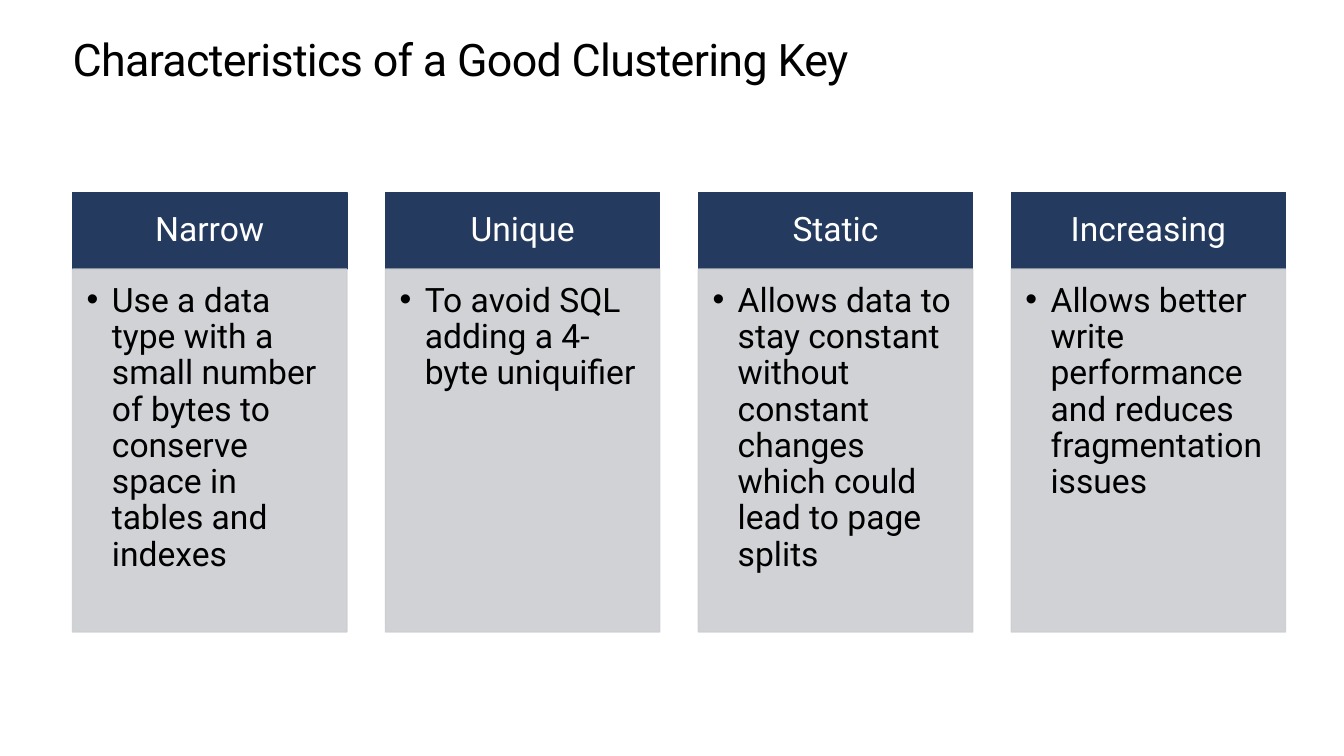
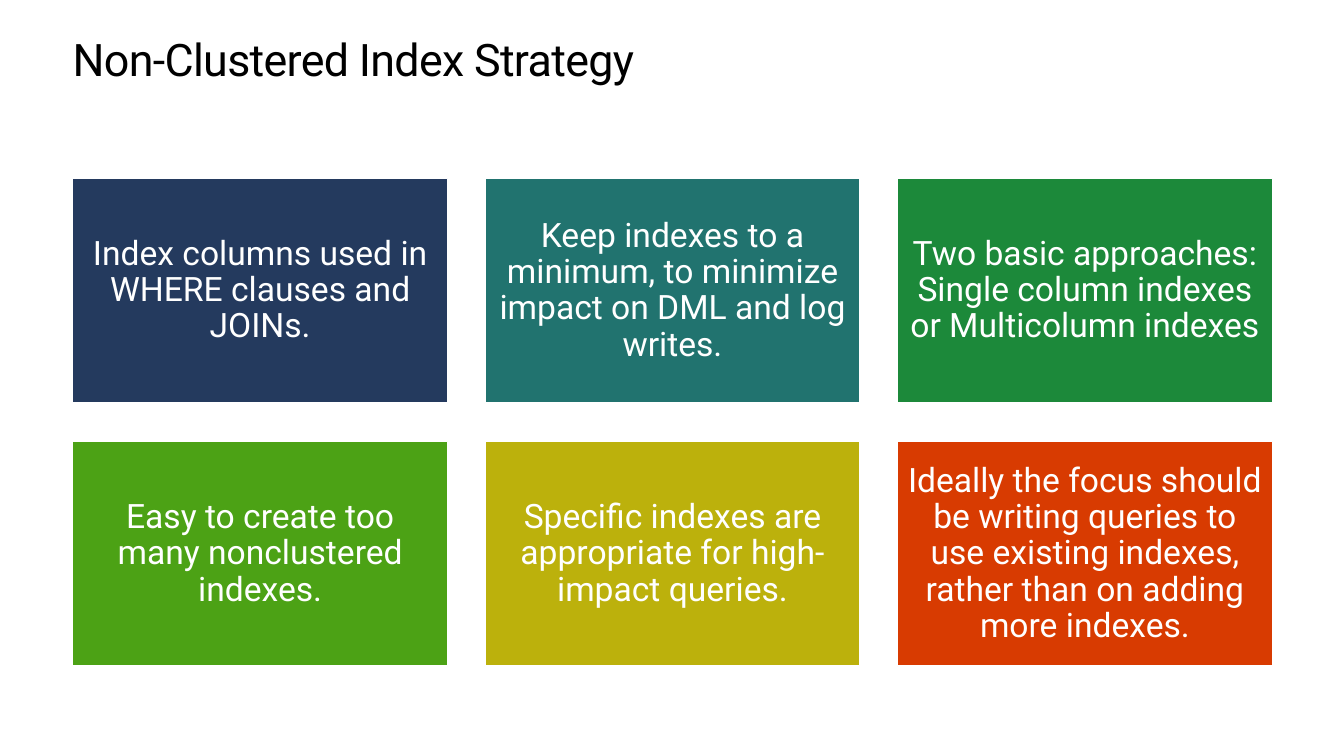
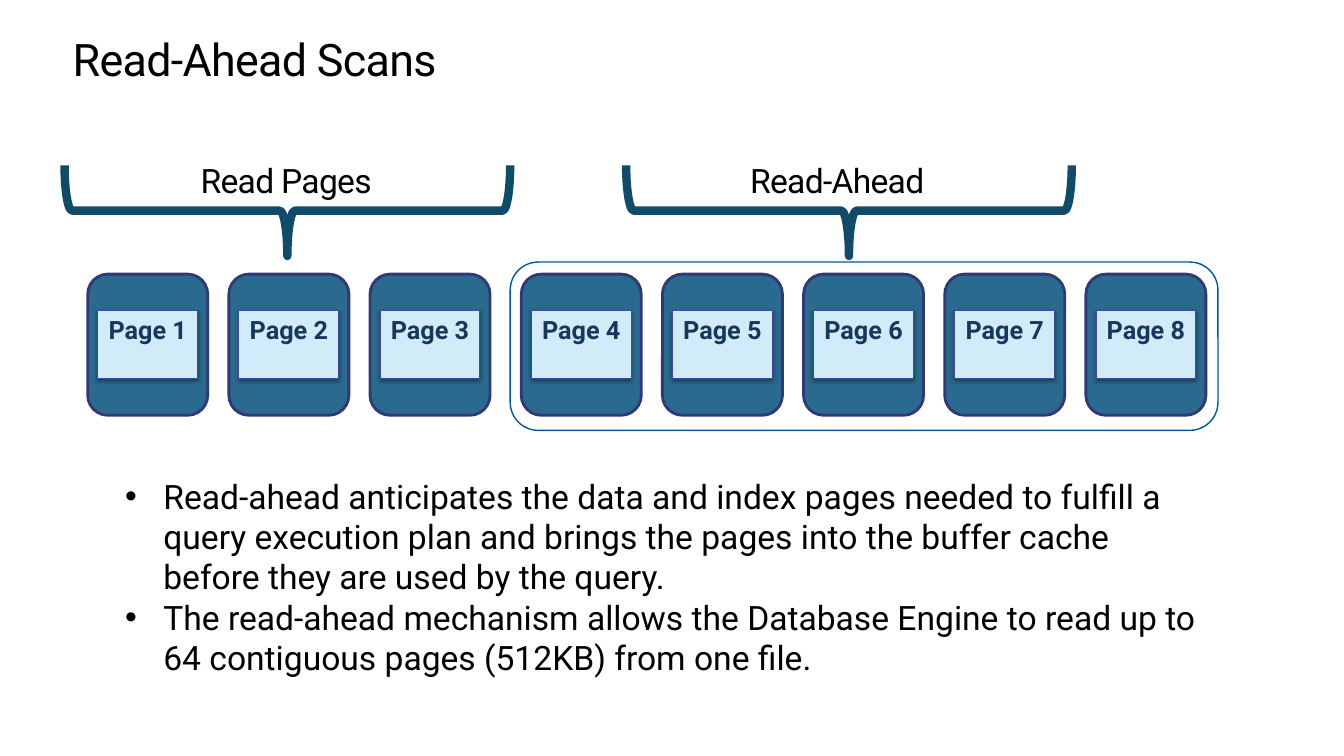
from dataclasses import dataclass
from typing import NamedTuple, Optional

from lxml.etree import SubElement
from pptx import Presentation
from pptx.dml.color import RGBColor
from pptx.enum.shapes import MSO_SHAPE as Shape
from pptx.enum.text import MSO_ANCHOR as Anchor, MSO_AUTO_SIZE as AutoSize, PP_ALIGN as Align
from pptx.oxml.ns import qn
from pptx.util import Inches, Pt

COLORS = {
    "navy": "243A5E", "teal": "21736F", "green": "1C893A", "lime": "4CA215",
    "olive": "BCB10C", "orange": "D83B01", "gray": "CDCED2",
    "white": "FFFFFF", "black": "000000",
    "outline": "00599D", "brace": "104C6A", "page": "296A8E", "page_line": "313876",
    "tag": "D1EBF8", "tag_line": "3E499F", "tag_text": "17375E",
}
FONT = "Roboto"


class Box(NamedTuple):
    left: float
    top: float
    width: float
    height: float


class Column(NamedTuple):
    head: str
    body: str


class Card(NamedTuple):
    color: str
    text: str


class Bracket(NamedTuple):
    left: float
    label: str
    label_left: float
    label_width: float


@dataclass(frozen=True)
class TextStyle:
    size: float = 24
    color: str = "black"
    bold: bool = False
    align: Align = Align.LEFT
    anchor: Anchor = Anchor.TOP
    insets: tuple = (0, 0, 0, 0)
    line_spacing: Optional[object] = None
    tracking: int = 0
    hang: float = 0


@dataclass(frozen=True)
class Look:
    fill: Optional[str]
    line: str
    width: float = 1
    alpha: int = 100


TITLE = TextStyle(size=32, line_spacing=Pt(36.2), tracking=-50)
LABEL = TextStyle(line_spacing=Pt(36.2), tracking=-50)
HEAD = TextStyle(color="white", align=Align.CENTER, anchor=Anchor.MIDDLE,
                 insets=(0.19, 0.11, 0.19, 0.11), line_spacing=0.9)
BODY = TextStyle(insets=(0.14, 0.14, 0.19, 0.21), line_spacing=0.9, hang=0.25)
CARD = TextStyle(color="white", align=Align.CENTER, anchor=Anchor.MIDDLE,
                 insets=(0.1, 0.1, 0.1, 0.1), line_spacing=0.9)
TAG = TextStyle(size=18, color="tag_text", bold=True, align=Align.CENTER,
                insets=(0.07, 0.04, 0.07, 0.04))
NOTES = TextStyle(insets=(0.17, 0.17, 0.17, 0.17), hang=0.38)

TITLE_BOX = Box(0.72, 0.35, 11.9, 0.5)

COLUMNS = [
    Column("Narrow", "Use a data type with a small number of bytes to conserve space in tables and indexes"),
    Column("Unique", "To avoid SQL adding a 4-byte uniquifier"),
    Column("Static", "Allows data to stay constant without constant changes which could lead to page splits"),
    Column("Increasing", "Allows better write performance and reduces fragmentation issues"),
]
CARDS = [
    Card("navy", "Index columns used in WHERE clauses and JOINs."),
    Card("teal", "Keep indexes to a minimum, to minimize impact on DML and log writes."),
    Card("green", "Two basic approaches: Single column indexes or Multicolumn indexes"),
    Card("lime", "Easy to create too many nonclustered indexes."),
    Card("olive", "Specific indexes are appropriate for high-impact queries."),
    Card("orange", "Ideally the focus should be writing queries to use existing indexes, "
                   "rather than on adding more indexes."),
]
BRACKETS = [
    Bracket(0.64, "Read Pages", 1.99, 2.43),
    Bracket(6.21, "Read-Ahead", 7.44, 1.83),
]
READ_AHEAD_NOTES = [
    "Read-ahead anticipates the data and index pages needed to fulfill a query execution plan "
    "and brings the pages into the buffer cache before they are used by the query.",
    "The read-ahead mechanism allows the Database Engine to read up to 64 contiguous pages "
    "(512KB) from one file.",
]


def rgb(name: str) -> RGBColor:
    return RGBColor.from_string(COLORS[name])


def spread(left: float, right: float, width: float, count: int) -> list[float]:
    step = (right - left - width) / (count - 1)
    return [left + i * step for i in range(count)]


def write(sp, lines: list[str], style: TextStyle) -> None:
    tf = sp.text_frame
    margins = zip(("left", "top", "right", "bottom"), style.insets)
    frame = {f"margin_{side}": Inches(value) for side, value in margins}
    frame |= {"word_wrap": True, "auto_size": AutoSize.NONE, "vertical_anchor": style.anchor}
    for name, value in frame.items():
        setattr(tf, name, value)
    for i, line in enumerate(lines):
        p = tf.add_paragraph() if i else tf.paragraphs[0]
        p.alignment = style.align
        p.line_spacing = style.line_spacing
        if style.hang:
            pPr = p._p.get_or_add_pPr()
            pPr.set("marL", str(Inches(style.hang)))
            pPr.set("indent", str(-Inches(style.hang)))
            SubElement(pPr, qn("a:buFont"), typeface="Arial")
            SubElement(pPr, qn("a:buChar"), char="•")
        r = p.add_run()
        r.text = line
        for name, value in {"name": FONT, "size": Pt(style.size), "bold": style.bold}.items():
            setattr(r.font, name, value)
        r.font.color.rgb = rgb(style.color)
        if style.tracking:
            r._r.get_or_add_rPr().set("spc", str(style.tracking))


def draw(s, kind: Shape, box: Box, look: Look):
    sp = s.shapes.add_shape(kind, *map(Inches, box))
    sp.shadow.inherit = False
    if look.fill:
        sp.fill.solid()
        sp.fill.fore_color.rgb = rgb(look.fill)
    else:
        sp.fill.background()
    sp.line.color.rgb = rgb(look.line)
    sp.line.width = Pt(look.width)
    if look.alpha < 100:
        for color in sp._element.spPr.iter(qn("a:srgbClr")):
            SubElement(color, qn("a:alpha"), val=str(look.alpha * 1000))
    return sp


def add_text(s, box: Box, lines: list[str], style: TextStyle) -> None:
    write(s.shapes.add_textbox(*map(Inches, box)), lines, style)


def add_shadow(sp) -> None:
    effects = sp._element.spPr.find(qn("a:effectLst"))
    shadow = SubElement(effects, qn("a:outerShdw"), blurRad=str(Pt(3.1)), dist=str(Pt(1.6)),
                        dir="5400000", rotWithShape="0")
    color = SubElement(shadow, qn("a:srgbClr"), val=COLORS["black"])
    SubElement(color, qn("a:alpha"), val="38000")


def new_slide(prs, title: str):
    s = prs.slides.add_slide(prs.slide_layouts[5])
    sp = s.shapes.title
    for name, value in TITLE_BOX._asdict().items():
        setattr(sp, name, Inches(value))
    write(sp, [title], TITLE)
    return s


def clustering_key(prs) -> None:
    s = new_slide(prs, "Characteristics of a Good Clustering Key")
    width, top, head_height = 2.72, 1.91, 0.76
    for left, column in zip(spread(0.72, 12.75, width, len(COLUMNS)), COLUMNS):
        head = draw(s, Shape.RECTANGLE, Box(left, top, width, head_height), Look("navy", "navy"))
        write(head, [column.head], HEAD)
        body = draw(s, Shape.RECTANGLE, Box(left, top + head_height, width, 3.6),
                    Look("gray", "gray", alpha=90))
        write(body, [column.body], BODY)


def index_strategy(prs) -> None:
    s = new_slide(prs, "Non-Clustered Index Strategy")
    width, height = 3.72, 2.23
    lefts = spread(0.72, 12.62, width, 3)
    tops = spread(1.77, 6.61, height, 2)
    places = [(left, top) for top in tops for left in lefts]
    for (left, top), card in zip(places, CARDS):
        sp = draw(s, Shape.RECTANGLE, Box(left, top, width, height), Look(card.color, "white"))
        write(sp, [card.text], CARD)


def add_page(s, left: float, number: int) -> None:
    draw(s, Shape.ROUNDED_RECTANGLE, Box(left, 2.72, 1.19, 1.4), Look("page", "page_line", 2))
    tag = draw(s, Shape.RECTANGLE, Box(left + 0.1, 3.08, 0.99, 0.68), Look("tag", "tag_line", 0.75))
    add_shadow(tag)
    write(tag, [f"Page {number}"], TAG)


def add_bracket(s, bracket: Bracket) -> None:
    span, depth, top = 4.42, 0.9, 1.64
    shift = (span - depth) / 2
    brace = draw(s, Shape.RIGHT_BRACE, Box(bracket.left + shift, top - shift, depth, span),
                 Look(None, "brace", 6))
    brace.rotation = 90
    add_text(s, Box(bracket.label_left, 1.48, bracket.label_width, 0.5), [bracket.label], LABEL)


def read_ahead(prs) -> None:
    s = new_slide(prs, "Read-Ahead Scans")
    pages, pages_read, pitch, group_gap = 8, 3, 1.4, 0.1
    draw(s, Shape.ROUNDED_RECTANGLE, Box(5.06, 2.6, 7.02, 1.67), Look("white", "outline"))
    for bracket in BRACKETS:
        add_bracket(s, bracket)
    for i in range(pages):
        add_page(s, 0.87 + i * pitch + (group_gap if i >= pages_read else 0), i + 1)
    add_text(s, Box(1.07, 4.55, 11.01, 2.2), READ_AHEAD_NOTES, NOTES)


def main() -> None:
    prs = Presentation()
    prs.slide_width, prs.slide_height = Inches(13.33), Inches(7.5)
    for build in (clustering_key, index_strategy, read_ahead):
        build(prs)
    prs.save("out.pptx")


if __name__ == "__main__":
    main()
